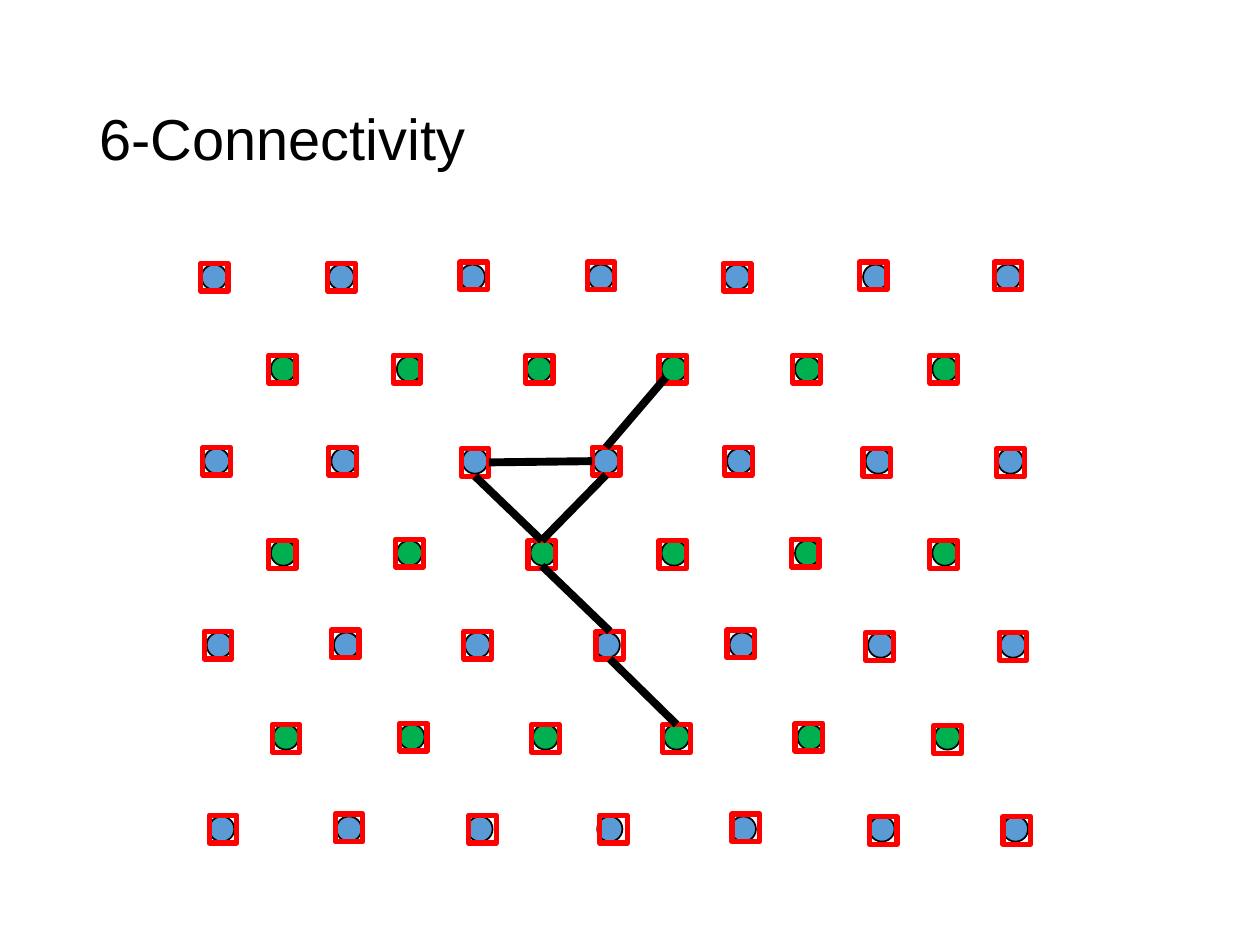
import pptx
import pptx.util
import pptx.dml.color
import pptx.enum.shapes
import pptx.enum.text
import pptx.oxml.ns
from lxml import etree

RGB = pptx.dml.color.RGBColor
BLACK = RGB(0x00, 0x00, 0x00)
BLUE = RGB(0x5B, 0x9B, 0xD5)
GREEN = RGB(0x00, 0xB0, 0x50)
RED = RGB(0xFF, 0x00, 0x00)

PX = 9144
SLIDE_WIDTH, SLIDE_HEIGHT = 1000, 750
DOT, FRAME = 20, 22
FIRST_ROW_TOP, ROW_STEP = 210, 73
FIRST_GROUPED_ROW = 3
TOP, LEFT, BOTTOM, RIGHT = 0, 1, 2, 3

TITLE = "6-Connectivity"

DOT_LEFTS = [
    [160, 261, 365, 467, 575, 685, 790],
    [215, 315, 418, 525, 631, 740],
    [162, 263, 367, 471, 577, 687, 792],
    [215, 315, 421, 525, 631, 740],
    [164, 265, 369, 472, 579, 689, 794],
    [217, 317, 423, 527, 633, 742],
    [166, 267, 371, 474, 580, 690, 796],
]
FRAME_CORNERS = [
    [(159, 209), (260, 209), (365, 208), (466, 208), (574, 209), (682, 208), (789, 208)],
    [(213, 282), (312, 282), (417, 282), (523, 282), (629, 282), (738, 282)],
    [(161, 355), (261, 355), (366, 356), (470, 355), (575, 355), (685, 356), (791, 356)],
    [(213, 429), (314, 428), (419, 429), (523, 429), (628, 428), (738, 429)],
    [(162, 501), (263, 500), (368, 501), (473, 501), (577, 500), (687, 502), (793, 502)],
    [(216, 575), (317, 574), (422, 575), (526, 575), (631, 574), (741, 576)],
    [(166, 647), (266, 646), (372, 647), (476, 647), (581, 646), (690, 648), (796, 648)],
]
FRAME_LINKS = [
    ((2, 2, RIGHT), (2, 3, LEFT)),
    ((2, 2, BOTTOM), (3, 2, TOP)),
    ((2, 3, BOTTOM), (3, 2, TOP)),
    ((5, 3, TOP), (4, 3, BOTTOM)),
]
DOT_LINKS = [
    ((528, 300), (2, 3, TOP)),
    ((430, 449), (4, 3, TOP)),
]


def add_marker(shapes, kind, left, top, size, fill, line, width):
    marker = shapes.add_shape(kind, left * PX, top * PX, size * PX, size * PX)
    marker.shadow.inherit = False
    if fill is None:
        marker.fill.background()
    else:
        marker.fill.solid()
        marker.fill.fore_color.rgb = fill
    marker.line.color.rgb = line
    marker.line.width = pptx.util.Pt(width)
    return marker


def add_link(shapes, start=(0, 0)):
    x, y = (length * PX for length in start)
    link = shapes.add_connector(pptx.enum.shapes.MSO_CONNECTOR.STRAIGHT, x, y, x, y)
    link.line.color.rgb = BLACK
    link.line.width = pptx.util.Pt(4.5)
    etree.SubElement(link._element.spPr, pptx.oxml.ns.qn("a:effectLst"))
    return link


def main():
    deck = pptx.Presentation()
    deck.slide_width, deck.slide_height = SLIDE_WIDTH * PX, SLIDE_HEIGHT * PX
    slide = deck.slides.add_slide(deck.slide_layouts[6])
    shapes = slide.shapes
    kinds = pptx.enum.shapes.MSO_SHAPE

    title = shapes.add_textbox(69 * PX, 40 * PX, 862 * PX, 145 * PX).text_frame
    title.word_wrap = True
    title.vertical_anchor = pptx.enum.text.MSO_ANCHOR.MIDDLE
    heading = title.paragraphs[0]
    heading.line_spacing = 0.9
    run = heading.add_run()
    run.text = TITLE
    run.font.name = "Arial"
    run.font.size = pptx.util.Pt(33)
    run.font.color.rgb = BLACK

    for row, lefts in enumerate(DOT_LEFTS):
        color = GREEN if row % 2 else BLUE
        for left in lefts:
            add_marker(shapes, kinds.OVAL, left, FIRST_ROW_TOP + row * ROW_STEP,
                       DOT, color, BLACK, 1)

    frames = []
    for row, corners in enumerate(FRAME_CORNERS):
        holder = shapes.add_group_shape().shapes if row >= FIRST_GROUPED_ROW else shapes
        frames.append([add_marker(holder, kinds.RECTANGLE, left, top, FRAME, None, RED, 3)
                       for left, top in corners])

    for (row, column, side), (end_row, end_column, end_side) in FRAME_LINKS:
        link = add_link(shapes)
        link.begin_connect(frames[row][column], side)
        link.end_connect(frames[end_row][end_column], end_side)

    for start, (row, column, side) in DOT_LINKS:
        add_link(shapes, start).end_connect(frames[row][column], side)

    deck.save("out.pptx")


if __name__ == "__main__":
    main()
